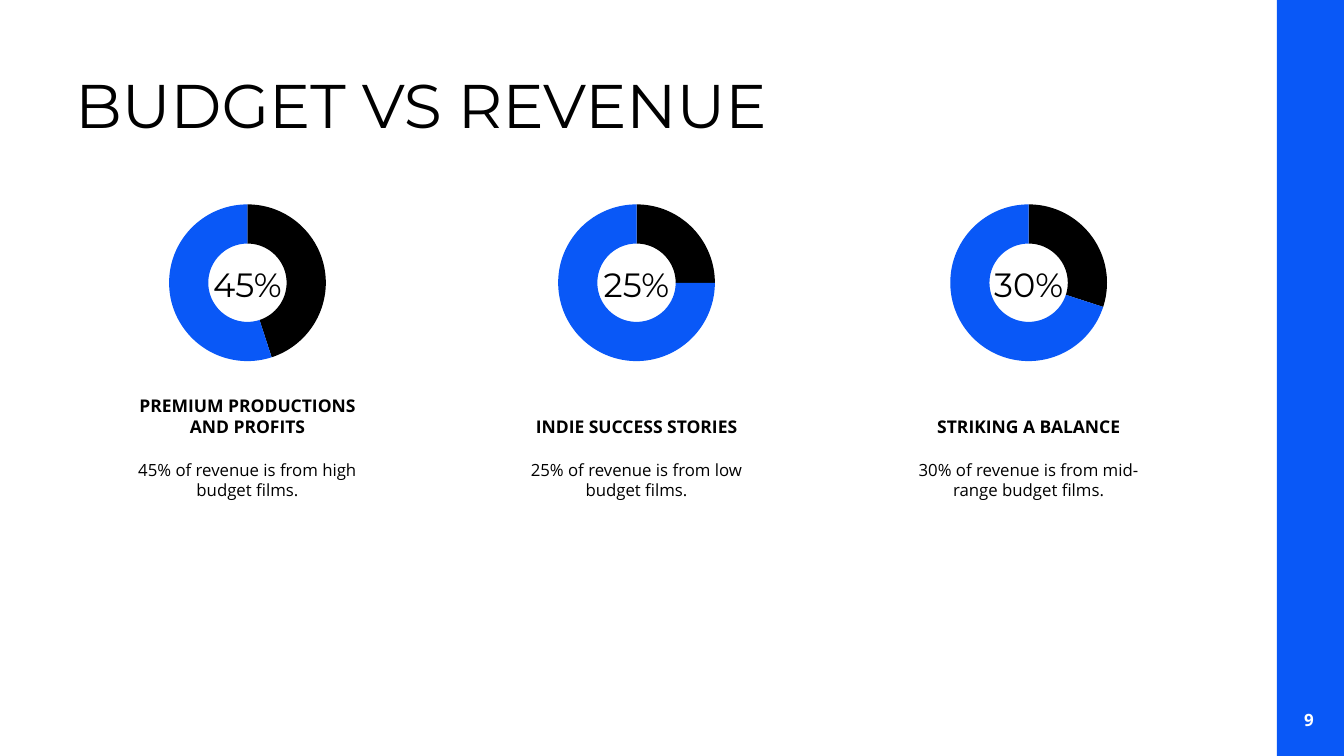
import pptx
import pptx.chart.data
import pptx.dml.color
import pptx.enum.chart
import pptx.enum.shapes
import pptx.enum.text
import pptx.oxml
import pptx.oxml.ns
import pptx.util

Pt = pptx.util.Pt
Anchor = pptx.enum.text.MSO_ANCHOR
Align = pptx.enum.text.PP_ALIGN

# Content
TITLE = "BUDGET VS REVENUE"
PAGE_NUMBER = "9"
# centre of column, share of revenue, heading, description
COLUMNS = [
    (176.8, 45, "PREMIUM PRODUCTIONS AND PROFITS", "45% of revenue is from high budget films."),
    (454.7, 25, "INDIE SUCCESS STORIES", "25% of revenue is from low budget films."),
    (734.8, 30, "STRIKING A BALANCE", "30% of revenue is from mid-range budget films."),
]

# Theme: colours, and type styles as (font, size, bold, colour)
THEME = {
    "accent": "0958F7",
    "ink": "000000",
    "title": ("Montserrat", 44, False, "000000"),
    "share": ("Montserrat", 24, False, "000000"),
    "heading": ("Open Sans", 12.5, True, "000000"),
    "body": ("Open Sans", 12, False, "000000"),
    "page": ("Open Sans", 12.1, True, "FFFFFF"),
    "chart": ("Open Sans", 10, False, "000000"),
}

# Layout
SLIDE_WIDTH, SLIDE_HEIGHT = 960, 540
BAND_WIDTH = 48
CHART_TOP, CHART_WIDTH, CHART_HEIGHT = 136, 160, 132
RING = 112
HOLE_PERCENT = 90


def color(value):
    return pptx.dml.color.RGBColor.from_string(value)


def style_font(font, style):
    font.name, size, font.bold, ink = THEME[style]
    font.size = Pt(size)
    font.color.rgb = color(ink)


def add_text(text, style, left, top, width, height, anchor=Anchor.TOP, align=Align.CENTER):
    box = slide.shapes.add_textbox(Pt(left), Pt(top), Pt(width), Pt(height))
    frame = box.text_frame
    frame.word_wrap = True
    frame.vertical_anchor = anchor
    paragraph = frame.paragraphs[0]
    paragraph.text = text
    paragraph.alignment = align
    style_font(paragraph.font, style)


def add_ring(share, center):
    data = pptx.chart.data.CategoryChartData()
    data.categories = ["1", "2"]
    data.add_series("Series 1", (share, 100 - share))
    chart = slide.shapes.add_chart(
        pptx.enum.chart.XL_CHART_TYPE.DOUGHNUT, Pt(center - CHART_WIDTH / 2), Pt(CHART_TOP),
        Pt(CHART_WIDTH), Pt(CHART_HEIGHT), data).chart
    chart.has_legend = False
    chart.has_title = False
    style_font(chart.font, "chart")
    plot = chart.plots[0]
    plot.vary_by_categories = True
    for index, name in enumerate(("ink", "accent")):
        point = plot.series[0].points[index].format
        point.fill.solid()
        point.fill.fore_color.rgb = color(THEME[name])
        point.line.fill.background()

    # Hole size and a centred square plot area
    plot_area = chart._chartSpace.chart.plotArea
    plot_area.find(".//" + pptx.oxml.ns.qn("c:holeSize")).set("val", str(HOLE_PERCENT))
    for old in plot_area.findall(pptx.oxml.ns.qn("c:layout")):
        plot_area.remove(old)
    width, height = RING / CHART_WIDTH, RING / CHART_HEIGHT
    settings = [("layoutTarget", "inner"), ("xMode", "edge"), ("yMode", "edge"),
                ("x", (1 - width) / 2), ("y", (1 - height) / 2), ("w", width), ("h", height)]
    tags = "".join(f'<c:{tag} val="{value}"/>' for tag, value in settings)
    plot_area.insert(0, pptx.oxml.parse_xml(
        f'<c:layout {pptx.oxml.ns.nsdecls("c")}><c:manualLayout>{tags}</c:manualLayout></c:layout>'))


presentation = pptx.Presentation()
presentation.slide_width, presentation.slide_height = Pt(SLIDE_WIDTH), Pt(SLIDE_HEIGHT)
slide = presentation.slides.add_slide(presentation.slide_layouts[6])

# Side band with page number
band = slide.shapes.add_shape(
    pptx.enum.shapes.MSO_SHAPE.RECTANGLE, Pt(SLIDE_WIDTH - BAND_WIDTH), 0,
    Pt(BAND_WIDTH), Pt(SLIDE_HEIGHT))
band.shadow.inherit = False
band.fill.solid()
band.fill.fore_color.rgb = color(THEME["accent"])
band.line.fill.background()
add_text(PAGE_NUMBER, "page", 911, 500, BAND_WIDTH, 28, Anchor.MIDDLE)

# Title
add_text(TITLE, "title", 46.8, 44.6, 816, 75, align=Align.LEFT)

# One ring, heading and description per column
for center, share, heading, description in COLUMNS:
    add_ring(share, center)
    add_text(f"{share}%", "share", center - 36, 185, 72, 36, Anchor.MIDDLE)
    add_text(heading, "heading", center - 94, 278, 188, 38, Anchor.BOTTOM)
    add_text(description, "body", center - 94, 324.7, 188, 188.6)

presentation.save("out.pptx")
